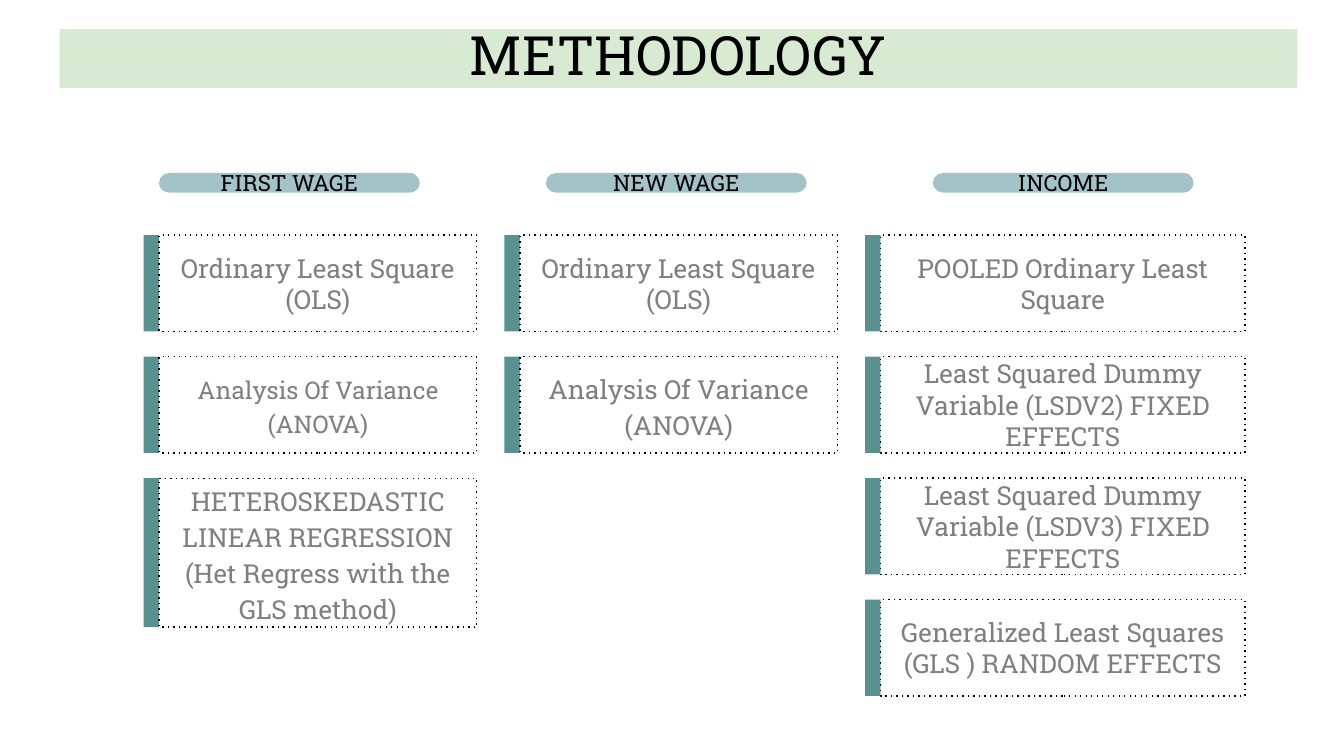
from dataclasses import dataclass

from pptx import Presentation
from pptx import util as u
from pptx.dml.color import RGBColor
from pptx.enum import shapes, text
from pptx.enum.dml import MSO_LINE
from pptx.oxml.ns import qn

FONT = "Roboto Slab"
BLACK, WHITE, GREY = "000000", "FFFFFF", "7F7F7F"
GREEN, TEAL, PALE_BLUE = "D9EAD3", "599191", "A2C4C9"
RECT = shapes.MSO_SHAPE.RECTANGLE
PILL = shapes.MSO_SHAPE.ROUNDED_RECTANGLE
LEFT, COLUMN_PITCH = 76.9, 193.3
TOP, ROW_PITCH = 126, 65.1
BAR_WIDTH, CARD_HEIGHT = 8.3, 51.6
PILL_PITCH, PILL_TOP, PILL_WIDTH, PILL_HEIGHT = 207.3, 92.7, 139.6, 10.5
INSETS = {"margin_left": 5, "margin_right": 5, "margin_top": 2.5, "margin_bottom": 2.5}
NO_INSETS = dict.fromkeys(INSETS, 0)


@dataclass
class Card:
    words: str
    size: float = 14
    spacing: float | None = None
    height: float = CARD_HEIGHT


@dataclass
class Column:
    heading: str
    card_width: float
    cards: list[Card]


COLUMNS = [
    Column("FIRST WAGE", 170.2, [
        Card("Ordinary Least Square (OLS)"),
        Card("Analysis Of Variance (ANOVA)", 13, 1.15),
        Card("HETEROSKEDASTIC\nLINEAR REGRESSION (Het Regress with the GLS method)",
             14, 1.15, 79.8),
    ]),
    Column("NEW WAGE", 170.2, [
        Card("Ordinary Least Square (OLS)"),
        Card("Analysis Of Variance (ANOVA)", 14, 1.15),
    ]),
    Column("INCOME", 195.2, [
        Card("POOLED Ordinary Least Square"),
        Card("Least Squared Dummy Variable (LSDV2) FIXED EFFECTS"),
        Card("Least Squared Dummy Variable (LSDV3) FIXED EFFECTS"),
        Card("Generalized Least Squares (GLS ) RANDOM EFFECTS"),
    ]),
]


def colour(value: str) -> RGBColor:
    return RGBColor.from_string(value)


def add_box(page, kind, place: tuple, fill: str):
    box = page.shapes.add_shape(kind, *(u.Pt(length) for length in place))
    box.shadow.inherit = False
    box.fill.solid()
    box.fill.fore_color.rgb = colour(fill)
    box.line.fill.background()
    return box


def write(box, words: str, size: float, ink: str, spacing: float | None = None,
          anchor=text.MSO_ANCHOR.MIDDLE, insets: dict = INSETS) -> None:
    frame = box.text_frame
    frame.word_wrap = True
    frame.vertical_anchor = anchor
    for name, value in insets.items():
        setattr(frame, name, u.Pt(value))
    frame.text = words
    for para in frame.paragraphs:
        for name, value in {"alignment": text.PP_ALIGN.CENTER, "line_spacing": spacing}.items():
            setattr(para, name, value)
        for span in para.runs:
            for name, value in {"name": FONT, "size": u.Pt(size)}.items():
                setattr(span.font, name, value)
            span.font.color.rgb = colour(ink)


def add_card(page, card: Card, left: float, top: float, width: float) -> None:
    add_box(page, RECT, (left, top, BAR_WIDTH, card.height), TEAL)
    box = add_box(page, RECT, (left + BAR_WIDTH, top, width, card.height), WHITE)
    box.line.color.rgb = colour(BLACK)
    box.line.width = u.Pt(0.75)
    box.line.dash_style = MSO_LINE.ROUND_DOT
    for dash in box._element.iter(qn("a:prstDash")):
        dash.set("val", "dot")
    write(box, card.words, card.size, GREY, card.spacing)


def add_heading(page, words: str, left: float) -> None:
    pill = add_box(page, PILL, (left, PILL_TOP, PILL_WIDTH, PILL_HEIGHT), PALE_BLUE)
    pill.adjustments[0] = 0.5
    write(pill, words, 12, BLACK)


def main() -> None:
    """Build the methodology slide: a title band above three columns of cards."""
    deck = Presentation()
    deck.slide_width, deck.slide_height = u.Pt(720), u.Pt(405)
    page = deck.slides.add_slide(deck.slide_layouts[6])
    title = add_box(page, RECT, (32, 15.6, 663, 31.6), GREEN)
    write(title, "METHODOLOGY", 29, BLACK, 0.9, text.MSO_ANCHOR.TOP, NO_INSETS)
    title.text_frame.auto_size = text.MSO_AUTO_SIZE.SHAPE_TO_FIT_TEXT
    for number, column in enumerate(COLUMNS):
        for row, card in enumerate(column.cards):
            add_card(page, card, LEFT + number * COLUMN_PITCH,
                     TOP + row * ROW_PITCH, column.card_width)
        add_heading(page, column.heading, LEFT + BAR_WIDTH + number * PILL_PITCH)
    deck.save("out.pptx")


if __name__ == "__main__":
    main()
